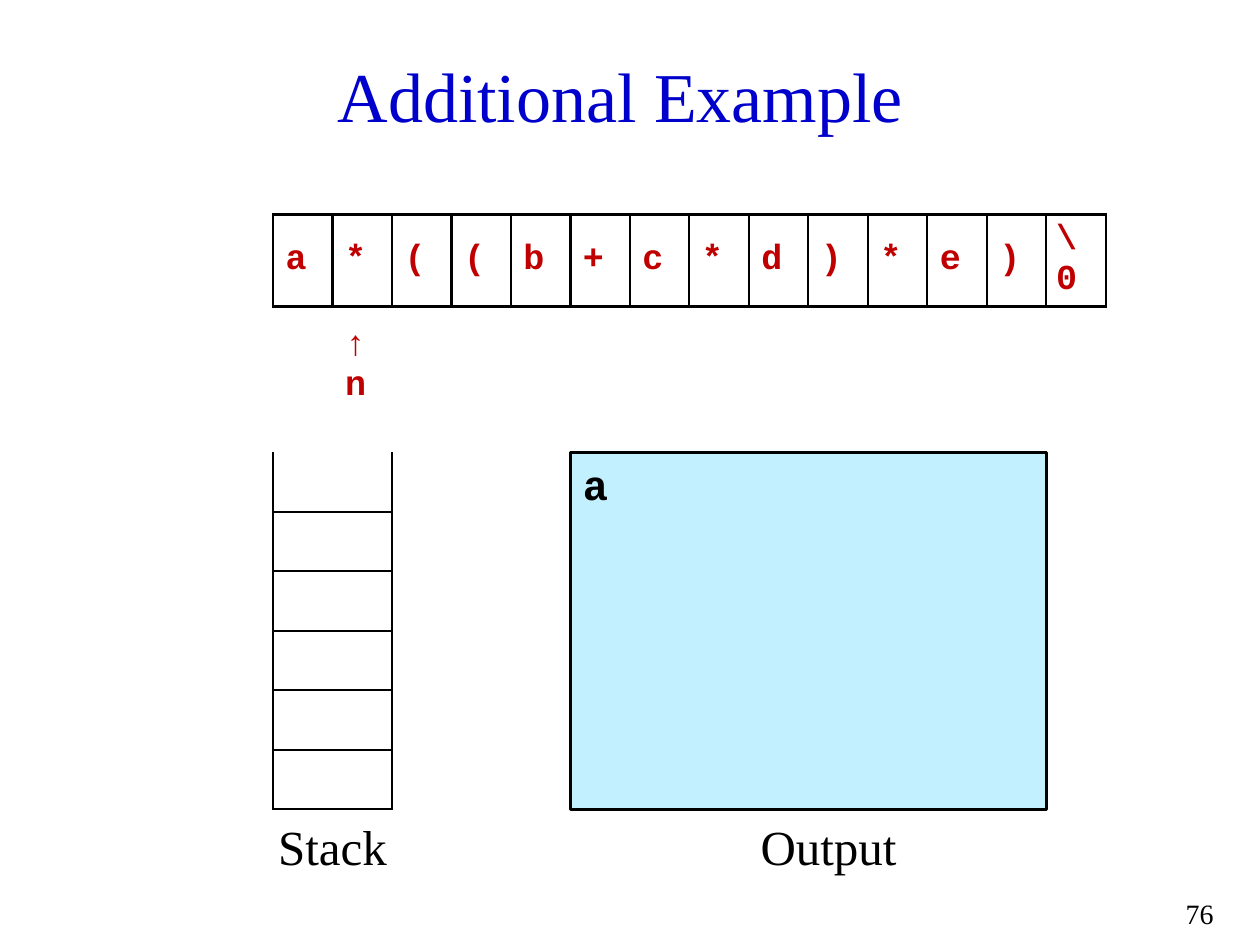
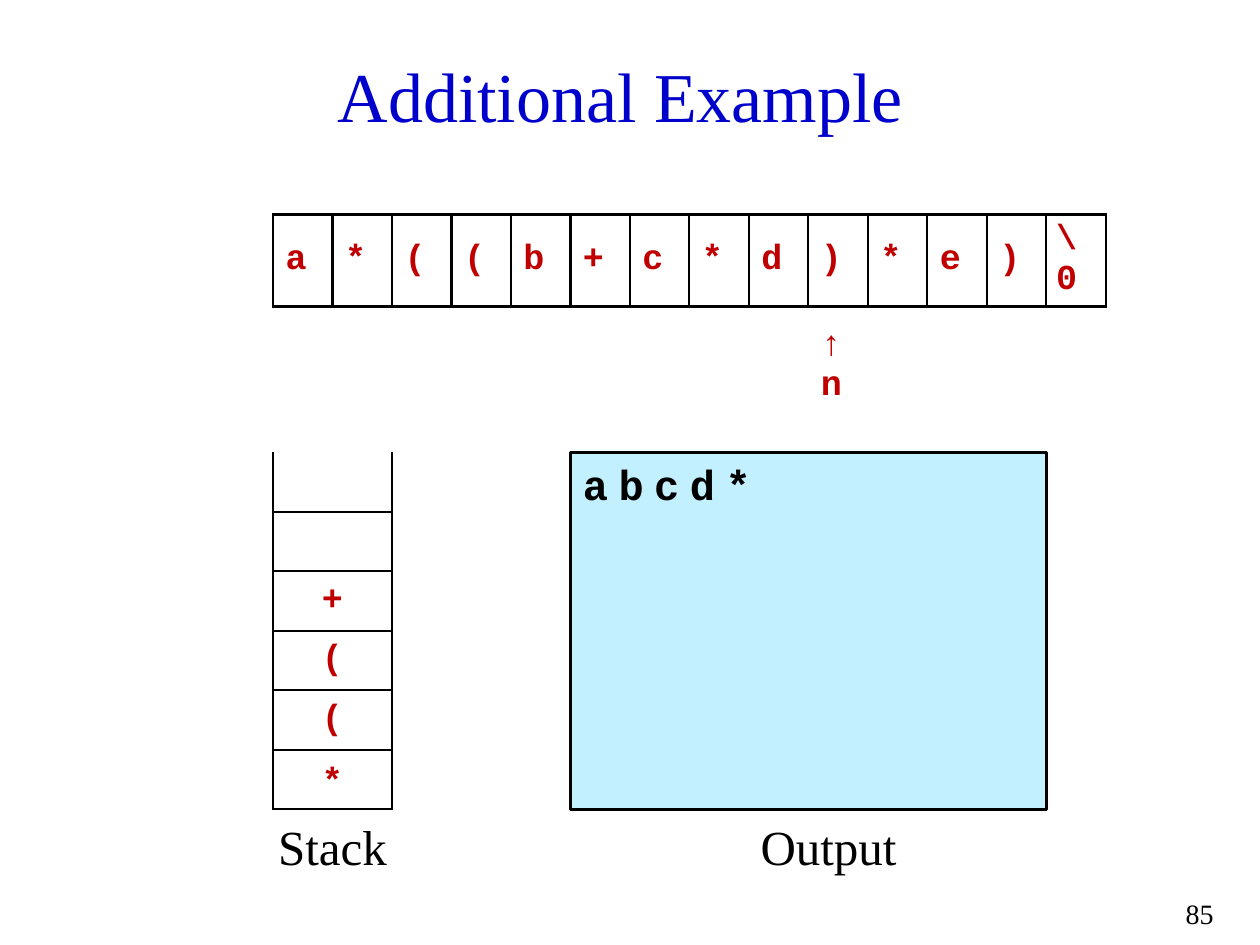
"""Build two steps of an infix-to-postfix example: expression, stack and output."""
from dataclasses import dataclass

from lxml import etree
from pptx import Presentation
from pptx.dml.color import RGBColor
from pptx.enum.shapes import MSO_SHAPE
from pptx.enum.text import MSO_ANCHOR, PP_ALIGN
from pptx.oxml.ns import qn
from pptx.util import Pt

LEFT, CENTER, RIGHT = PP_ALIGN.LEFT, PP_ALIGN.CENTER, PP_ALIGN.RIGHT
TOP, MIDDLE, BOTTOM = MSO_ANCHOR.TOP, MSO_ANCHOR.MIDDLE, MSO_ANCHOR.BOTTOM
RECTANGLE = MSO_SHAPE.RECTANGLE
TITLE_ONLY = 5


@dataclass(frozen=True)
class Theme:
    """Colours, fonts and sizes of both slides."""
    title_color: RGBColor = RGBColor(0x00, 0x00, 0xCC)
    symbol_color: RGBColor = RGBColor(0xC0, 0x00, 0x00)
    output_fill: RGBColor = RGBColor(0xC2, 0xF0, 0xFF)
    ink: RGBColor = RGBColor(0x00, 0x00, 0x00)
    text_font: str = "Times New Roman"
    code_font: str = "Courier New"
    title_size: int = 40
    label_size: int = 28
    output_size: int = 24
    symbol_size: int = 20
    number_size: int = 16
    line_width: float = 1.5


THEME = Theme()
CELL = 34
GRID_LEFT = 156
EXPRESSION_TOP = 122.5
STACK_TOP = 258.5
EXPRESSION = [*"a*((b+c*d)*e)", "\\0"]
STACK_ROWS = 6
LABEL_TOP = STACK_TOP + STACK_ROWS * CELL + 0.5
STEPS = [
    {"number": "76", "position": 1, "stack": "", "output": "a"},
    {"number": "85", "position": 9, "stack": "*((+", "output": "abcd*"},
]
LABELS = [
    ("Output", 417, LABEL_TOP, 113, 45, THEME.label_size, CENTER),
    ("Stack", 145, LABEL_TOP, 90, 45, THEME.label_size, CENTER),
]


def write(frame, text, font, size, color, alignment, bold=False):
    """Put one formatted paragraph into a text frame."""
    paragraph = frame.paragraphs[0]
    paragraph.text = text
    paragraph.alignment = alignment
    paragraph.font.name = font
    paragraph.font.size = Pt(size)
    paragraph.font.bold = bold
    paragraph.font.color.rgb = color


def fill_cell(cell, text, sides, anchor, alignment=LEFT):
    """Write a symbol in a cell and draw lines on the given sides (L, R, T, B)."""
    properties = cell._tc.get_or_add_tcPr()
    for side in "LRTB":
        line = etree.SubElement(properties, qn("a:ln" + side))
        line.set("w", str(Pt(THEME.line_width)))
        if side in sides:
            paint = etree.SubElement(line, qn("a:solidFill"))
            etree.SubElement(paint, qn("a:srgbClr")).set("val", str(THEME.ink))
        else:
            etree.SubElement(line, qn("a:noFill"))
    cell.fill.background()
    cell.vertical_anchor = anchor
    if text:
        write(cell.text_frame, text, THEME.code_font, THEME.symbol_size,
              THEME.symbol_color, alignment, bold=True)


presentation = Presentation()
presentation.slide_width = Pt(720)
presentation.slide_height = Pt(540)

for step in STEPS:
    slide = presentation.slides.add_slide(presentation.slide_layouts[TITLE_ONLY])

    title = slide.shapes.title
    title.left, title.top, title.width, title.height = Pt(19.5), Pt(20), Pt(680), Pt(68)
    title.text_frame.vertical_anchor = MIDDLE
    write(title.text_frame, "Additional Example ", THEME.text_font, THEME.title_size,
          THEME.title_color, CENTER)

    stack_table = slide.shapes.add_table(
        STACK_ROWS, 1, Pt(GRID_LEFT), Pt(STACK_TOP), Pt(2 * CELL), Pt(STACK_ROWS * CELL)).table
    expression_table = slide.shapes.add_table(
        3, len(EXPRESSION), Pt(GRID_LEFT), Pt(EXPRESSION_TOP),
        Pt(len(EXPRESSION) * CELL), Pt(3 * CELL)).table
    for table in (stack_table, expression_table):
        table.first_row = False
        table.horz_banding = False

    stack_symbols = step["stack"][::-1].rjust(STACK_ROWS)
    for row, symbol in enumerate(stack_symbols):
        fill_cell(stack_table.cell(row, 0), symbol.strip(), "LRTB" if row else "LRB",
                  BOTTOM if symbol == "*" else MIDDLE, CENTER)

    for column, symbol in enumerate(EXPRESSION):
        is_next = column == step["position"]
        symbol_cell, arrow_cell, name_cell = (
            expression_table.cell(row, column) for row in range(3))
        fill_cell(symbol_cell, symbol, "LRTB", MIDDLE)
        fill_cell(arrow_cell, "↑" if is_next else "", "T", BOTTOM)
        fill_cell(name_cell, "n" if is_next else "", "", TOP)
        if is_next:
            arrow_cell.margin_top, arrow_cell.margin_bottom = Pt(11.5), Pt(0)
            name_cell.margin_top = Pt(0)
        if len(symbol) > 1:
            symbol_cell.margin_left = symbol_cell.margin_right = Pt(5.75)

    output_box = slide.shapes.add_shape(
        RECTANGLE, Pt(GRID_LEFT + 5 * CELL), Pt(STACK_TOP), Pt(8 * CELL), Pt(STACK_ROWS * CELL))
    output_box.shadow.inherit = False
    output_box.fill.solid()
    output_box.fill.fore_color.rgb = THEME.output_fill
    output_box.line.color.rgb = THEME.ink
    output_box.line.width = Pt(THEME.line_width)
    output_box.text_frame.word_wrap = True
    output_box.text_frame.vertical_anchor = TOP
    write(output_box.text_frame, step["output"], THEME.code_font, THEME.output_size,
          THEME.ink, LEFT, bold=True)
    output_run = output_box.text_frame.paragraphs[0].runs[0]
    output_run._r.get_or_add_rPr().set("spc", "600")

    page_number = (step["number"], 655, 508.5, 45.5, 23, THEME.number_size, RIGHT)
    for text, left, top, width, height, size, alignment in [*LABELS, page_number]:
        label = slide.shapes.add_textbox(Pt(left), Pt(top), Pt(width), Pt(height))
        label.text_frame.word_wrap = True
        write(label.text_frame, text, THEME.text_font, size, THEME.ink, alignment)

presentation.save("out.pptx")
